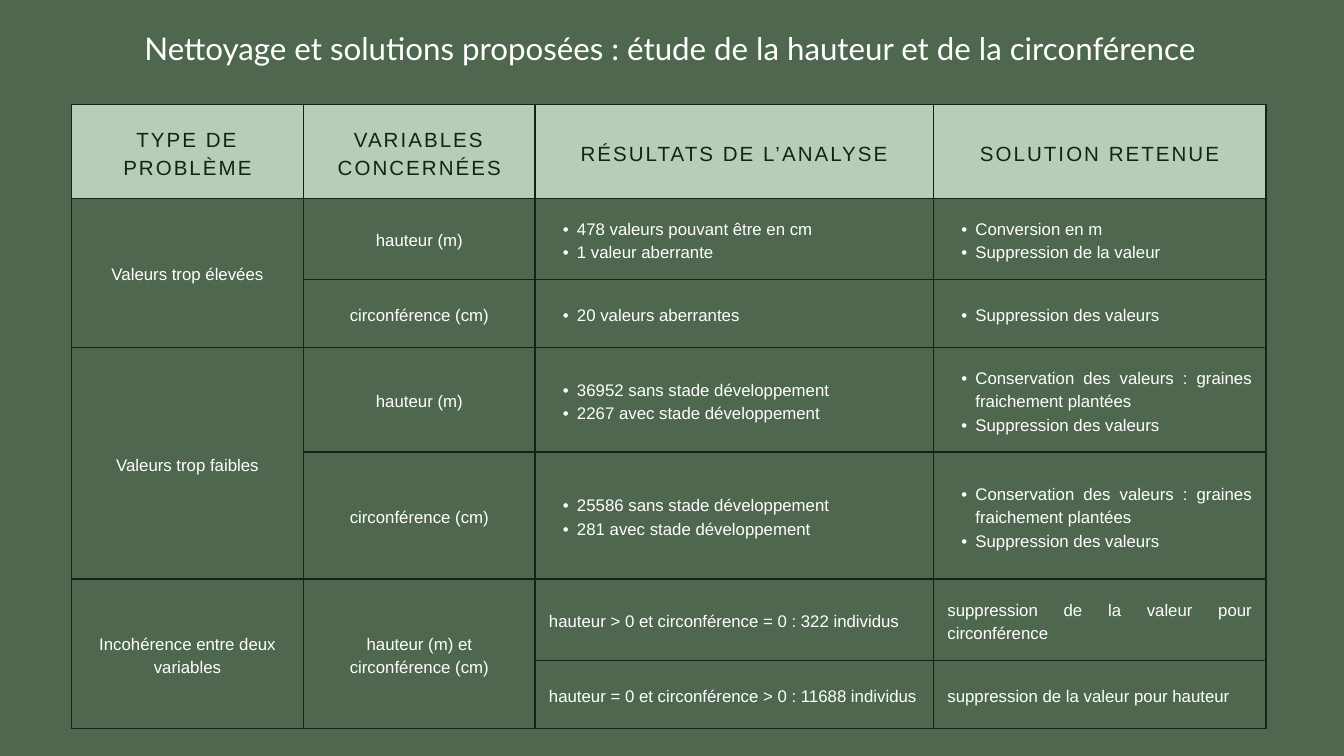
from lxml.etree import SubElement
from pptx import Presentation
from pptx.dml.color import RGBColor
from pptx.enum.text import MSO_ANCHOR as Anchor, MSO_AUTO_SIZE as AutoSize, PP_ALIGN as Align
from pptx.oxml.ns import qn
from pptx.util import Cm, Pt

COLORS = {"background": "4F674F", "header": "B7CDB7", "dark": "142414", "light": "FFFFFF"}
COLUMN_WIDTHS = [8.79, 8.74, 15.06, 12.57]
ROW_HEIGHTS = [3.53, 3.07, 2.57, 3.96, 4.8, 3.07, 2.57]
CELL_MARGIN = Cm(0.53)
HEADERS = ["TYPE DE PROBLÈME", "VARIABLES CONCERNÉES", "RÉSULTATS DE L’ANALYSE", "SOLUTION RETENUE"]
HEIGHT, GIRTH = "hauteur (m)", "circonférence (cm)"
KEEP_SEEDS = ["Conservation des valeurs : graines fraichement plantées", "Suppression des valeurs"]
ROWS = [
    ["Valeurs trop élevées", HEIGHT,
     ["478 valeurs pouvant être en cm", "1 valeur aberrante"],
     ["Conversion en m", "Suppression de la valeur"]],
    [None, GIRTH, ["20 valeurs aberrantes"], ["Suppression des valeurs"]],
    ["Valeurs trop faibles", HEIGHT,
     ["36952 sans stade développement", "2267 avec stade développement"], KEEP_SEEDS],
    [None, GIRTH,
     ["25586 sans stade développement", "281 avec stade développement"], KEEP_SEEDS],
    ["Incohérence entre deux variables", f"{HEIGHT} et {GIRTH}",
     "hauteur > 0 et circonférence = 0 : 322 individus",
     "suppression de la valeur pour circonférence"],
    [None, None, "hauteur = 0 et circonférence > 0 : 11688 individus",
     "suppression de la valeur pour hauteur"],
]


def rgb(name):
    """Return the named colour."""
    return RGBColor.from_string(COLORS[name])


def add_bullet(paragraph):
    """Indent a paragraph and give it a round bullet."""
    paragraph.level = 1
    properties = paragraph._p.get_or_add_pPr()
    properties.set("marL", str(2 * CELL_MARGIN))
    properties.set("indent", str(-CELL_MARGIN))
    SubElement(properties, qn("a:buFont"), typeface="Arial")
    SubElement(properties, qn("a:buChar"), char="•")


def write_text(frame, text, size=18, font="Arial", color="light", align=Align.CENTER,
               line=25.2, tracking=0):
    """Write a string as one paragraph, or a list as bulleted paragraphs."""
    bulleted = isinstance(text, list)
    for index, words in enumerate(text if bulleted else [text]):
        paragraph = frame.add_paragraph() if index else frame.paragraphs[0]
        paragraph.alignment = align
        paragraph.line_spacing = Pt(line)
        paragraph.space_before = paragraph.space_after = Pt(0)
        if bulleted:
            add_bullet(paragraph)
        run = paragraph.add_run()
        run.text = words
        run.font.size = Pt(size)
        run.font.name = font
        run.font.color.rgb = rgb(color)
        if tracking:
            run._r.get_or_add_rPr().set("spc", str(round(tracking * 100)))


def add_borders(cell, color="dark", width=1.5):
    """Draw a solid line on each side of a cell."""
    properties = cell._tc.get_or_add_tcPr()
    for side in ("lnL", "lnR", "lnT", "lnB"):
        border = SubElement(properties, qn(f"a:{side}"), w=str(Pt(width)))
        fill = SubElement(border, qn("a:solidFill"))
        SubElement(fill, qn("a:srgbClr"), val=COLORS[color])


def format_cell(cell, fill=None):
    """Set the margins, anchor, borders and fill of a cell."""
    cell.margin_left = cell.margin_right = CELL_MARGIN
    cell.margin_top = cell.margin_bottom = CELL_MARGIN
    cell.vertical_anchor = Anchor.MIDDLE
    add_borders(cell)
    if fill:
        cell.fill.solid()
        cell.fill.fore_color.rgb = rgb(fill)
    else:
        cell.fill.background()


def add_title(slide, text):
    """Place and write the slide title."""
    title = slide.shapes.title
    title.left, title.top, title.width, title.height = Cm(2.77), Cm(1.09), Cm(45.09), Cm(2.84)
    frame = title.text_frame
    frame.margin_left = frame.margin_right = frame.margin_top = frame.margin_bottom = 0
    frame.word_wrap = True
    frame.auto_size = AutoSize.NONE
    frame.vertical_anchor = Anchor.TOP
    write_text(frame, text, size=33.5, font="Lato", line=40.2)


def add_findings_table(slide):
    """Add the table of problems, findings and solutions."""
    table = slide.shapes.add_table(
        len(ROW_HEIGHTS), len(COLUMN_WIDTHS), Cm(2.69), Cm(3.96),
        Cm(sum(COLUMN_WIDTHS)), Cm(sum(ROW_HEIGHTS))).table
    table.horz_banding = table.first_row = False
    for column, width in zip(table.columns, COLUMN_WIDTHS):
        column.width = Cm(width)
    for row, height in zip(table.rows, ROW_HEIGHTS):
        row.height = Cm(height)
    for column, text in enumerate(HEADERS):
        cell = table.cell(0, column)
        format_cell(cell, fill="header")
        write_text(cell.text_frame, text, size=22, color="dark", line=30.8, tracking=2.2)
    for row, texts in enumerate(ROWS, start=1):
        for column, text in enumerate(texts):
            cell = table.cell(row, column)
            format_cell(cell)
            if text is None:
                table.cell(row - 1, column).merge(cell)
            else:
                align = Align.CENTER if column < 2 else Align.JUSTIFY
                write_text(cell.text_frame, text, align=align)


def main():
    """Build and save the presentation."""
    presentation = Presentation()
    presentation.slide_width, presentation.slide_height = Cm(50.8), Cm(28.58)
    slide = presentation.slides.add_slide(presentation.slide_layouts[5])
    slide.background.fill.solid()
    slide.background.fill.fore_color.rgb = rgb("background")
    add_title(slide, "Nettoyage et solutions proposées : étude de la hauteur et de la circonférence")
    add_findings_table(slide)
    presentation.save("out.pptx")


if __name__ == "__main__":
    main()
